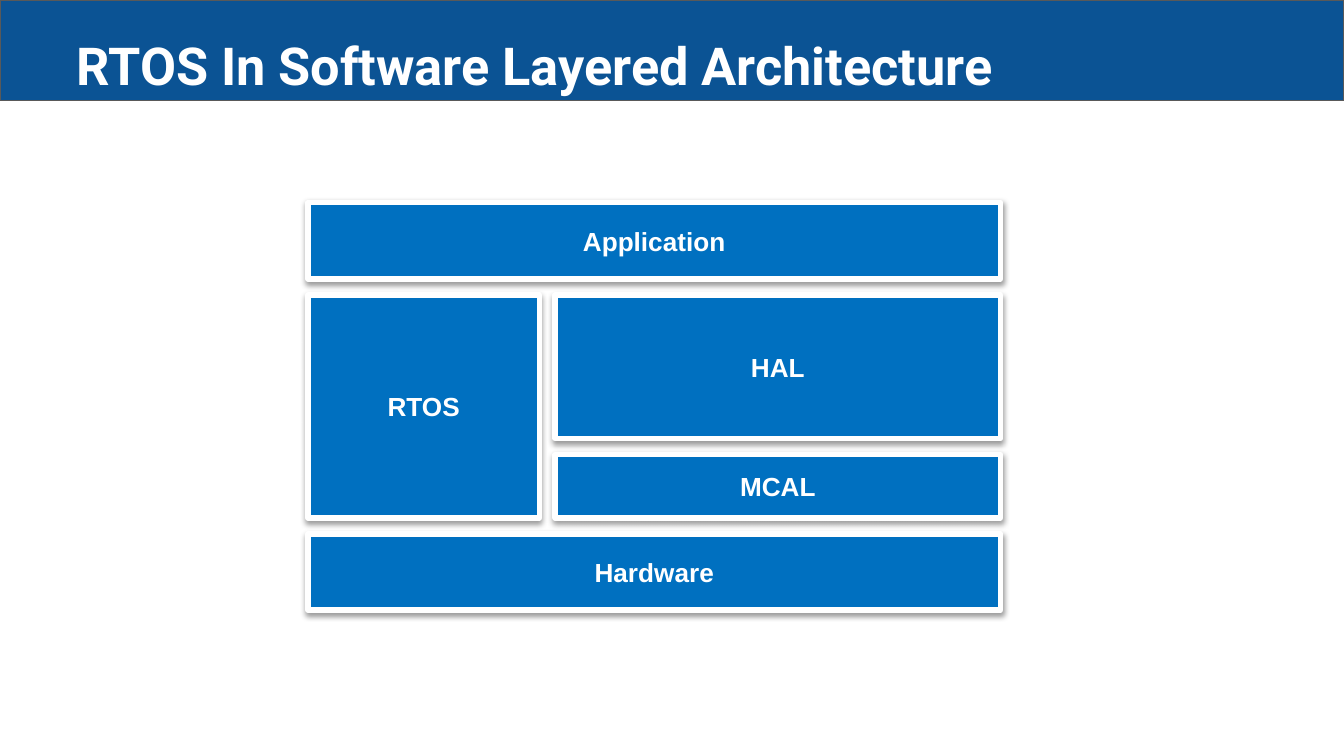
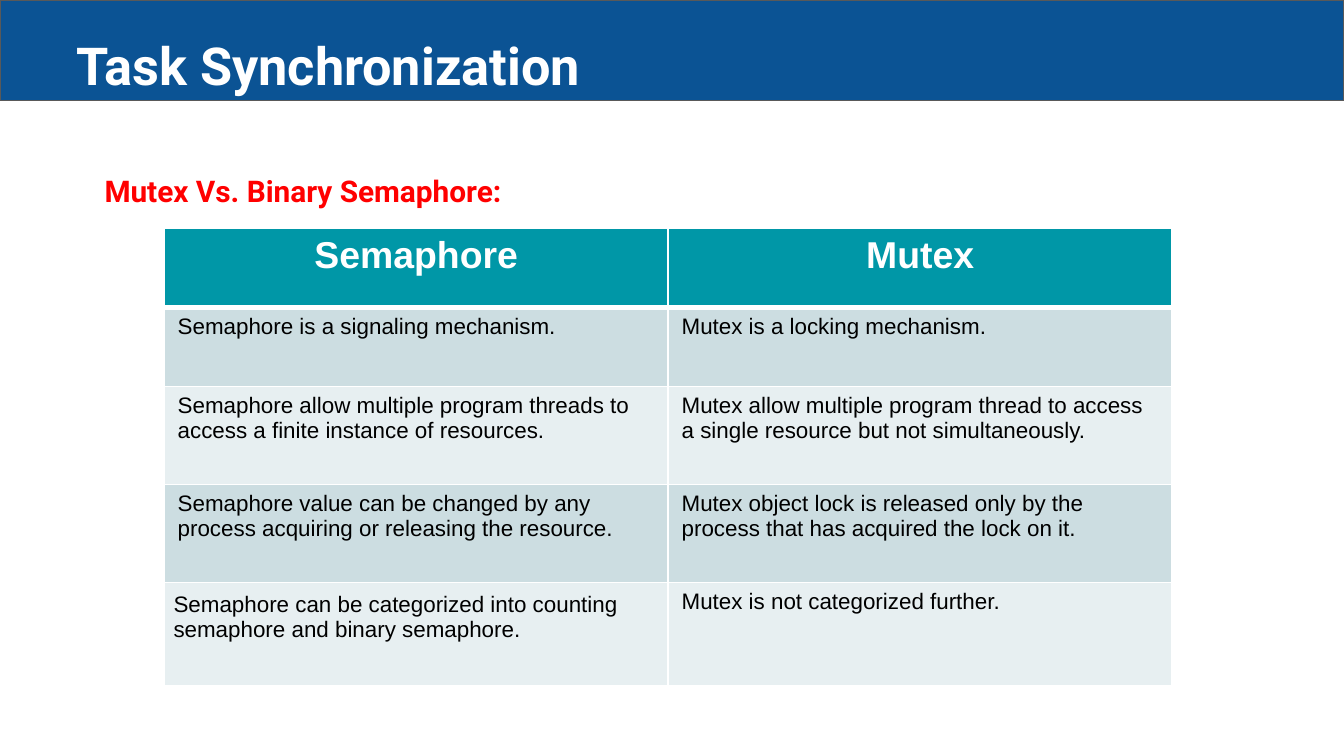
from lxml import etree
from pptx import Presentation
from pptx.dml.color import RGBColor
from pptx.enum.shapes import MSO_SHAPE
from pptx.enum.text import MSO_ANCHOR, PP_ALIGN
from pptx.oxml.ns import qn
from pptx.util import Pt

RECT = MSO_SHAPE.RECTANGLE
TOP, MIDDLE = MSO_ANCHOR.TOP, MSO_ANCHOR.MIDDLE
LEFT, CENTER, JUSTIFY = PP_ALIGN.LEFT, PP_ALIGN.CENTER, PP_ALIGN.JUSTIFY

HUES = {
    "band": "0B5394",
    "edge": "595959",
    "layer": "0070C0",
    "white": "FFFFFF",
    "black": "000000",
    "red": "FF0000",
    "head": "0097A7",
    "odd": "CCDDE1",
    "even": "E7EFF1",
}
WIDTH, HEIGHT = 720, 405
GAP = 8.5
ROWS = [
    ("Semaphore", "Mutex"),
    ("Semaphore is a signaling mechanism.", "Mutex is a locking mechanism."),
    ("Semaphore allow multiple program threads to access a finite instance of resources.",
     "Mutex allow multiple program thread to access a single resource but not simultaneously."),
    ("Semaphore value can be changed by any process acquiring or releasing the resource.",
     "Mutex object lock is released only by the process that has acquired the lock on it."),
    ("Semaphore can be categorized into counting semaphore and binary semaphore.",
     "Mutex is not categorized further."),
]
TALL = [42.5, 42.5, 52.5, 52.5, 55.5]


def hue(name):
    """Return the named colour."""
    return RGBColor.from_string(HUES[name])


def write(frame, text, size=14, color="white", font="Arial", bold=True,
          align=LEFT, space=None):
    """Put one formatted paragraph in a text frame."""
    para = frame.paragraphs[0]
    para.alignment = align
    para.line_spacing = space
    run = para.add_run()
    run.text = text
    run.font.size = Pt(size)
    run.font.name = font
    run.font.bold = bold
    run.font.color.rgb = hue(color)


def label(slide, text, x, y, w, h, **form):
    """Add a wrapped Roboto text box with wide line spacing."""
    frame = slide.shapes.add_textbox(Pt(x), Pt(y), Pt(w), Pt(h)).text_frame
    frame.word_wrap = True
    frame.vertical_anchor = TOP
    frame.margin_left = Pt(16.5)
    frame.margin_right = frame.margin_top = frame.margin_bottom = Pt(7.2)
    write(frame, text, font="Roboto", space=1.5, **form)


def block(shapes, x, y, w, h, fill, line, weight):
    """Add a filled and outlined rectangle."""
    shape = shapes.add_shape(RECT, Pt(x), Pt(y), Pt(w), Pt(h))
    shape.shadow.inherit = False
    shape.fill.solid()
    shape.fill.fore_color.rgb = hue(fill)
    shape.line.color.rgb = hue(line)
    shape.line.width = Pt(weight)
    return shape


def shade(shape):
    """Give a shape a soft shadow below it."""
    effects = shape._element.spPr.find(qn("a:effectLst"))
    outer = etree.SubElement(effects, qn("a:outerShdw"), blurRad=str(Pt(3.1)),
                             dist=str(Pt(1.6)), dir="5400000", rotWithShape="0")
    color = etree.SubElement(outer, qn("a:srgbClr"), val=HUES["black"])
    etree.SubElement(color, qn("a:alpha"), val="38000")


def layer(shapes, text, x, y, w, h):
    """Add one labelled layer of the stack."""
    shape = block(shapes, x, y, w, h, "layer", "white", 3)
    shade(shape)
    shape.text_frame.vertical_anchor = MIDDLE
    write(shape.text_frame, text, align=CENTER)


def border(cell, top, bottom):
    """Draw white borders round a table cell."""
    props = cell._tc.get_or_add_tcPr()
    sides = {"a:lnL": 1, "a:lnR": 1, "a:lnT": top, "a:lnB": bottom}
    for spot, (tag, weight) in enumerate(sides.items()):
        line = etree.Element(qn(tag), w=str(Pt(weight)))
        fill = etree.SubElement(line, qn("a:solidFill"))
        etree.SubElement(fill, qn("a:srgbClr"), val=HUES["white"])
        props.insert(spot, line)


def grid(slide, x, y, w):
    """Add the table with a header and banded rows."""
    cols = len(ROWS[0])
    table = slide.shapes.add_table(len(ROWS), cols, Pt(x), Pt(y), Pt(w),
                                   Pt(sum(TALL))).table
    for col in table.columns:
        col.width = Pt(w / cols)
    for r, texts in enumerate(ROWS):
        table.rows[r].height = Pt(TALL[r])
        for c, text in enumerate(texts):
            cell = table.cell(r, c)
            cell.fill.solid()
            if r == 0:
                cell.fill.fore_color.rgb = hue("head")
                write(cell.text_frame, text, size=20, align=CENTER)
            else:
                cell.fill.fore_color.rgb = hue("odd" if r % 2 else "even")
                write(cell.text_frame, text, size=12, color="black", bold=False)
            border(cell, 3 if r == 1 else 1, 3 if r == 0 else 1)
    last = table.cell(len(ROWS) - 1, 0)
    last.margin_left = last.margin_right = Pt(5)
    last.margin_top = last.margin_bottom = Pt(5)


def page(deck, title):
    """Add a blank slide with the title band."""
    slide = deck.slides.add_slide(deck.slide_layouts[6])
    block(slide.shapes, 0, 0, WIDTH, 54, "band", "edge", 0.75)
    label(slide, title, 24.5, -6, 671, 49, size=28)
    return slide


def stack(slide):
    """Draw the layered architecture."""
    shapes = slide.shapes.add_group_shape().shapes
    x, y, wide, slim = 165, 108.5, 371, 124
    bar, hal, mcal = 41, 77, 34
    mid = y + bar + GAP
    tall = hal + GAP + mcal
    side, rest = x + slim + GAP, wide - slim - GAP
    layer(shapes, "Application", x, y, wide, bar)
    layer(shapes, "RTOS", x, mid, slim, tall)
    layer(shapes, "HAL", side, mid, rest, hal)
    layer(shapes, "MCAL", side, mid + hal + GAP, rest, mcal)
    layer(shapes, "Hardware", x, mid + tall + GAP, wide, bar)


def main():
    """Build and save the deck."""
    deck = Presentation()
    deck.slide_width, deck.slide_height = Pt(WIDTH), Pt(HEIGHT)
    stack(page(deck, "RTOS In Software Layered Architecture"))
    slide = page(deck, "Task Synchronization")
    label(slide, "Mutex Vs. Binary Semaphore:", 39.5, 75.5, 639, 34.5,
          size=16, color="red", align=JUSTIFY)
    grid(slide, 88, 122, 540)
    deck.save("out.pptx")


if __name__ == "__main__":
    main()
